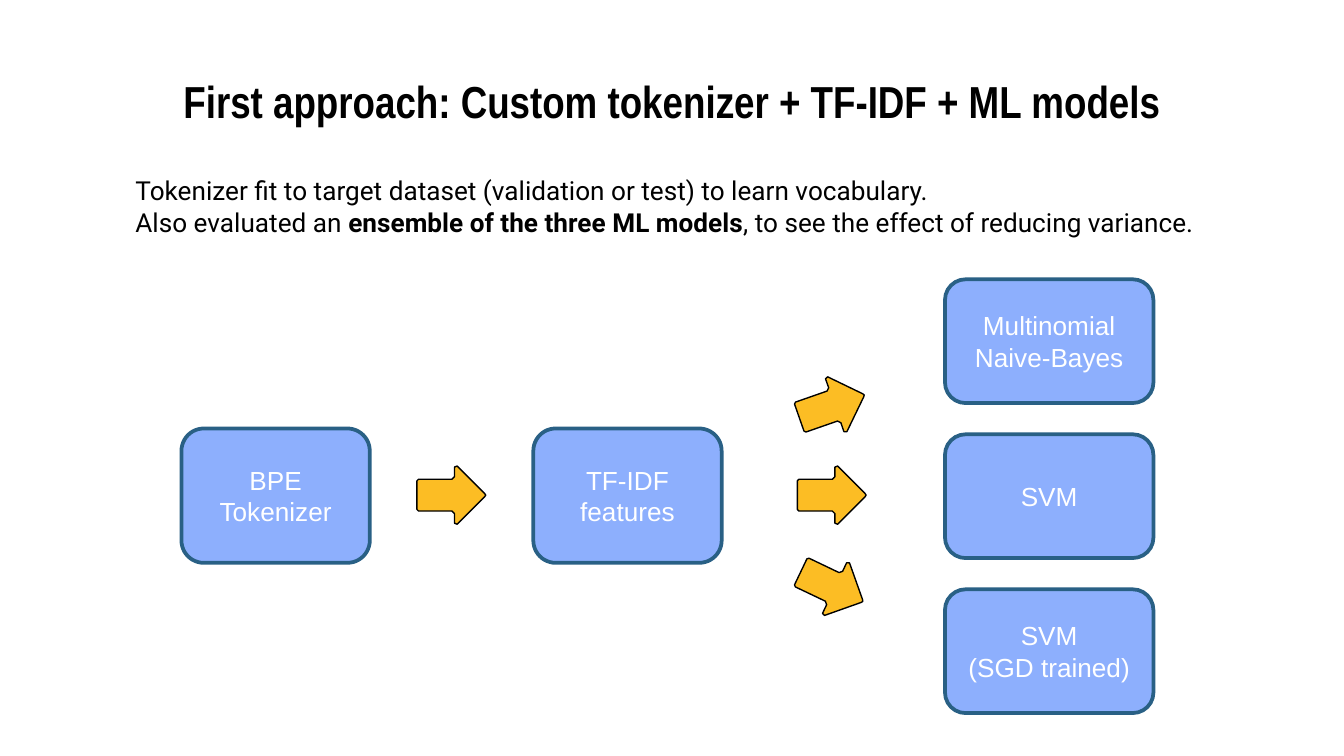
from dataclasses import dataclass

from pptx import Presentation
from pptx.dml.color import RGBColor
from pptx.enum.shapes import MSO_SHAPE
from pptx.enum.text import MSO_ANCHOR, MSO_AUTO_SIZE, PP_ALIGN
from pptx.slide import Slide
from pptx.util import Cm, Pt

COLORS = {
    "text": "000000",
    "box_text": "FFFFFF",
    "box": "8DAFFD",
    "box_line": "296085",
    "arrow": "FCBD24",
    "arrow_line": "000000",
}

# Upper half of a right-pointing arrow, in hundredths of a centimetre around its axis
ARROW_LENGTH = 130
ARROW_EDGE = [(0, -27), (3, -30), (66, -30), (71, -35), (71, -53), (76, -55), (128, -3), (130, 0)]


@dataclass
class Stage:
    label: str
    left: float
    top: float
    width: float = 3.56
    height: float = 2.54


@dataclass
class FlowArrow:
    center_x: float
    center_y: float
    rotation: float = 0


def color(name: str) -> RGBColor:
    return RGBColor.from_string(COLORS[name])


def paint(shape, fill: str, line: str, line_width: float) -> None:
    shape.shadow.inherit = False
    shape.fill.solid()
    shape.fill.fore_color.rgb = color(fill)
    shape.line.color.rgb = color(line)
    shape.line.width = Pt(line_width)


def style_run(run, font_name: str, size: float, color_name: str, bold: bool = False) -> None:
    run.font.name = font_name
    run.font.size = Pt(size)
    run.font.color.rgb = color(color_name)
    run.font.bold = bold


def draw_stage(slide: Slide, stage: Stage) -> None:
    box = slide.shapes.add_shape(
        MSO_SHAPE.ROUNDED_RECTANGLE,
        Cm(stage.left), Cm(stage.top), Cm(stage.width), Cm(stage.height),
    )
    paint(box, "box", "box_line", 2)
    frame = box.text_frame
    frame.word_wrap = True
    frame.vertical_anchor = MSO_ANCHOR.MIDDLE
    frame.text = stage.label
    for paragraph in frame.paragraphs:
        paragraph.alignment = PP_ALIGN.CENTER
        for run in paragraph.runs:
            style_run(run, "Arial", 14, "box_text")


def draw_arrow(slide: Slide, arrow: FlowArrow) -> None:
    lower_edge = [(x, -y) for x, y in reversed(ARROW_EDGE[:-1])]
    outline = slide.shapes.build_freeform(*ARROW_EDGE[0], scale=Cm(0.01))
    outline.add_line_segments(ARROW_EDGE[1:] + lower_edge, close=True)
    shape = outline.convert_to_shape(
        Cm(arrow.center_x - ARROW_LENGTH / 200), Cm(arrow.center_y)
    )
    shape.rotation = arrow.rotation
    paint(shape, "arrow", "arrow_line", 0.75)


def draw_title(slide: Slide) -> None:
    title = slide.shapes.add_textbox(Cm(1.27), Cm(1.14), Cm(22.86), Cm(1.12))
    frame = title.text_frame
    frame.word_wrap = True
    frame.margin_top = frame.margin_bottom = Cm(0.25)
    frame.text = "First approach: Custom tokenizer + TF-IDF + ML models"
    heading = frame.paragraphs[0]
    heading.alignment = PP_ALIGN.CENTER
    style_run(heading.runs[0], "Arial Narrow", 24, "text", bold=True)


def draw_summary(slide: Slide) -> None:
    summary = slide.shapes.add_textbox(Cm(2.31), Cm(3.18), Cm(20.75), Cm(1.45))
    frame = summary.text_frame
    frame.word_wrap = False
    frame.auto_size = MSO_AUTO_SIZE.SHAPE_TO_FIT_TEXT
    frame.text = (
        "Tokenizer fit to target dataset (validation or test) to learn vocabulary.\n"
        "Also evaluated an "
    )
    evaluation = frame.paragraphs[1]
    for text in ("ensemble of the three ML models", ", to see the effect of reducing variance."):
        evaluation.add_run().text = text
    for paragraph in frame.paragraphs:
        for run in paragraph.runs:
            style_run(run, "Roboto", 14, "text")
    evaluation.runs[1].font.bold = True


def main() -> None:
    presentation = Presentation()
    presentation.slide_width = Cm(25.4)
    presentation.slide_height = Cm(14.29)
    slide = presentation.slides.add_slide(presentation.slide_layouts[6])

    draw_title(slide)
    draw_summary(slide)

    models = ["Multinomial\nNaive-Bayes", "SVM", "SVM\n(SGD trained)"]
    stages = [Stage("BPE Tokenizer", 3.43, 8.1), Stage("TF-IDF\nfeatures", 10.08, 8.1)]
    stages += [
        Stage(model, 17.86, 5.28 + 2.93 * row, 3.94, 2.34)
        for row, model in enumerate(models)
    ]
    for stage in stages:
        draw_stage(slide, stage)

    arrows = [
        FlowArrow(8.53, 9.36),
        FlowArrow(15.72, 7.68, -19.2),
        FlowArrow(15.72, 9.36),
        FlowArrow(15.72, 11.09, 25.5),
    ]
    for arrow in arrows:
        draw_arrow(slide, arrow)

    presentation.save("out.pptx")


if __name__ == "__main__":
    main()
